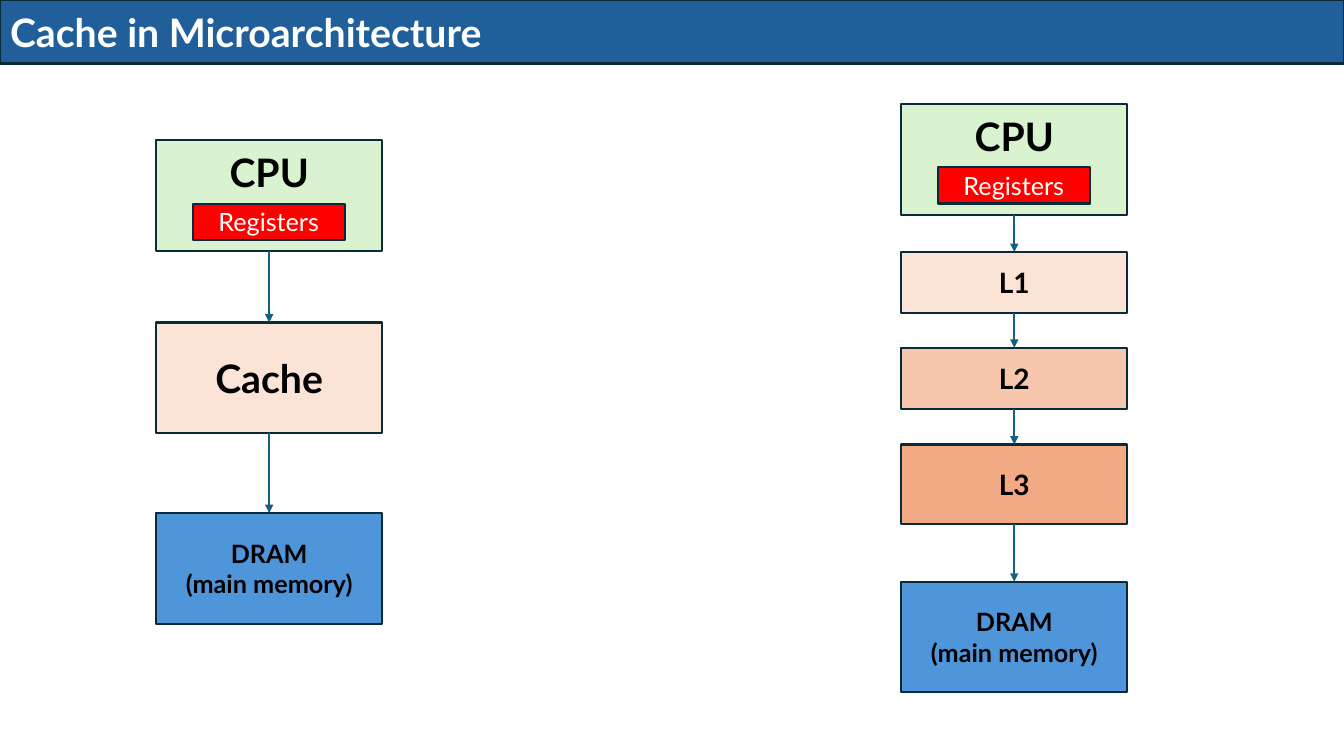
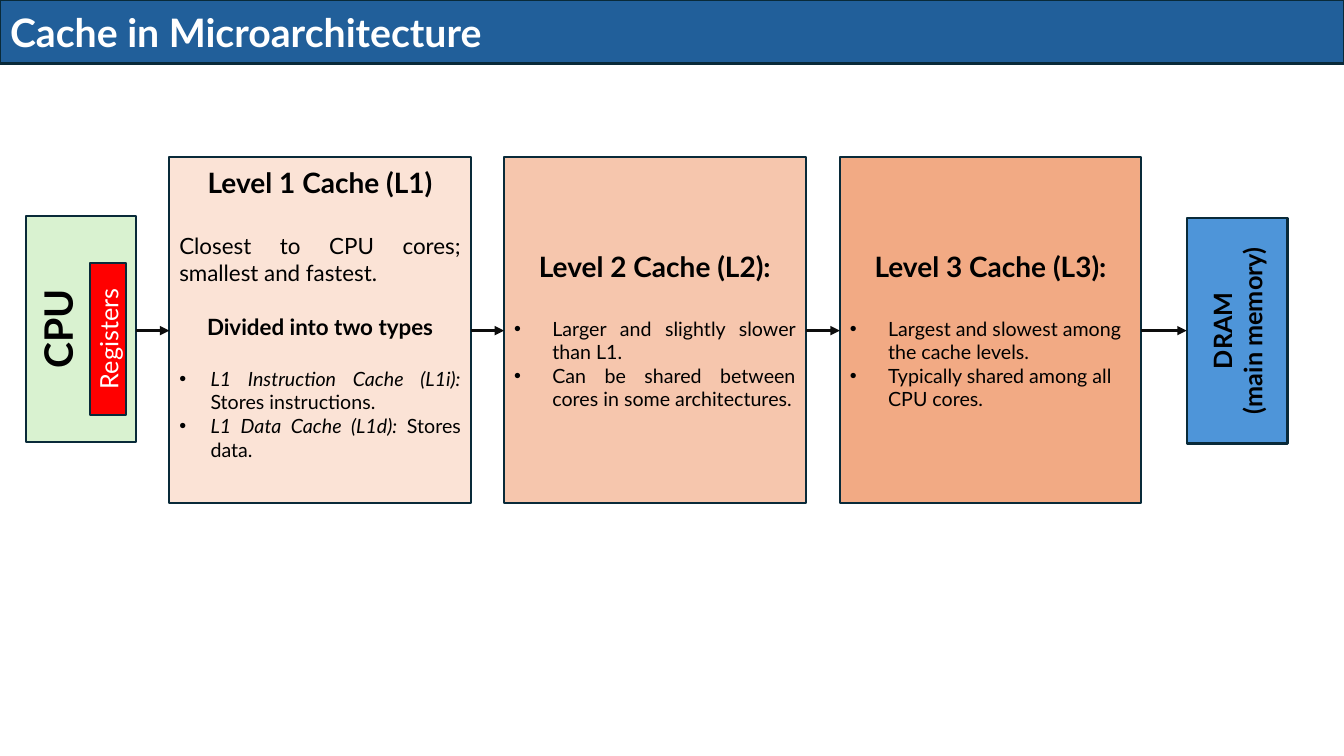
"""Build two slides on where caches sit in a microarchitecture."""
from lxml import etree
from pptx import Presentation
from pptx import util as u
from pptx.dml.color import RGBColor
from pptx.enum import shapes, text
from pptx.oxml.ns import qn

FONT = "Lato"
COLOURS = {
    "band": "215F9A", "outline": "092A39", "cpu": "D9F2D0", "registers": "FF0000",
    "l1": "FBE3D6", "l2": "F6C6AD", "l3": "F2AA84", "dram": "4E95D9",
    "teal": "156082", "ink": "0D0D0D", "black": "000000", "white": "FFFFFF",
}
COLOURS = {name: RGBColor.from_string(value) for name, value in COLOURS.items()}
CENTER, LEFT, JUSTIFY = text.PP_ALIGN.CENTER, text.PP_ALIGN.LEFT, text.PP_ALIGN.JUSTIFY
MIDDLE, TOP = text.MSO_ANCHOR.MIDDLE, text.MSO_ANCHOR.TOP


def add_text(box, words, size=18, bold=False, colour="black", align=CENTER,
             after=0, indent=0, lead=""):
    """Add one paragraph, with an optional italic lead and a bullet if indented."""
    frame = box.text_frame
    para = frame.paragraphs[0]
    if para.runs:
        para = frame.add_paragraph()
    para.alignment = align
    para.space_after = u.Pt(after)
    if indent:
        props = para._p.get_or_add_pPr()
        props.set("marL", str(u.Inches(indent)))
        props.set("indent", str(-u.Inches(indent)))
        etree.SubElement(props, qn("a:buFont"), typeface="Arial")
        etree.SubElement(props, qn("a:buChar"), char="•")
    for part, italic in ((lead, True), (words, False)):
        if part:
            span = para.add_run()
            span.text = part
            span.font.name, span.font.size = FONT, u.Pt(size)
            span.font.bold, span.font.italic = bold, italic
            span.font.color.rgb = COLOURS[colour]


def draw_box(page, place, fill, lines, anchor=MIDDLE, turn=0):
    """Draw an outlined rectangle holding (words, format) lines."""
    box = page.shapes.add_shape(shapes.MSO_SHAPE.RECTANGLE, *map(u.Inches, place))
    box.shadow.inherit = False
    box.rotation = turn
    box.fill.solid()
    box.fill.fore_color.rgb = COLOURS[fill]
    box.line.color.rgb = COLOURS["outline"]
    box.line.width = u.Pt(1.5)
    box.text_frame.word_wrap = True
    box.text_frame.vertical_anchor = anchor
    if anchor == TOP:
        box.text_frame.margin_top = u.Inches(0.08)
    for words, style in lines:
        add_text(box, words, **style)


deck = Presentation()
deck.slide_width, deck.slide_height = u.Inches(13.33), u.Inches(7.5)
pages = [deck.slides.add_slide(deck.slide_layouts[5]) for _ in range(2)]
for page in pages:
    title = page.shapes.title
    title.left, title.top = 0, 0
    title.width, title.height = deck.slide_width, u.Inches(0.63)
    title.fill.solid()
    title.fill.fore_color.rgb = COLOURS["band"]
    title.line.color.rgb = COLOURS["outline"]
    title.line.width = u.Pt(1.5)
    title.text_frame.auto_size = text.MSO_AUTO_SIZE.NONE
    title.text_frame.vertical_anchor = MIDDLE
    add_text(title, "Cache in Microarchitecture", size=28, bold=True,
             colour="white", align=LEFT)
stack_page, detail_page = pages

big, medium, small = ({"size": size, "bold": True} for size in (28, 20, 18))
cpu = [("CPU", big)]
registers = [("Registers", {"colour": "white"})]
dram = [("DRAM", small), ("(main memory)", small)]
arrows = []

stacks = [
    (1.55, [(1.39, 1.1, "cpu", cpu), (3.2, 1.1, "l1", [("Cache", big)]),
            (5.09, 1.1, "dram", dram)]),
    (8.94, [(1.03, 1.1, "cpu", cpu), (2.5, 0.61, "l1", [("L1", medium)]),
            (3.45, 0.61, "l2", [("L2", medium)]), (4.41, 0.79, "l3", [("L3", medium)]),
            (5.77, 1.1, "dram", dram)]),
]
for left, levels in stacks:
    for top, height, fill, lines in levels:
        draw_box(stack_page, (left, top, 2.24, height), fill, lines,
                 anchor=TOP if fill == "cpu" else MIDDLE)
    draw_box(stack_page, (left + 0.36, levels[0][0] + 0.63, 1.51, 0.36),
             "registers", registers)
    middle = left + 1.12
    for upper, lower in zip(levels, levels[1:]):
        arrows.append((stack_page, (middle, upper[0] + upper[1], middle, lower[0]),
                       "teal", 1.5))

narrow = {"size": 14, "align": JUSTIFY, "indent": 0.31}
wide = {"size": 14, "align": JUSTIFY, "indent": 0.38}
ragged = {**wide, "align": LEFT}
heading = {**medium, "after": 24}
level_1 = [
    ("Level 1 Cache (L1)", heading),
    ("Closest to CPU cores; smallest and fastest.",
     {"size": 16, "align": JUSTIFY, "after": 19.2}),
    ("Divided into two types", {"size": 16, "bold": True, "after": 19.2}),
    ("Stores instructions.", {**narrow, "lead": "L1 Instruction Cache (L1i): "}),
    ("Stores data.", {**narrow, "lead": "L1 Data Cache (L1d): "}),
]
level_2 = [
    ("Level 2 Cache (L2):", heading),
    ("Larger and slightly slower than L1.", wide),
    ("Can be shared between cores in some architectures.", wide),
]
level_3 = [
    ("Level 3 Cache (L3):", heading),
    ("Largest and slowest among the cache levels.", ragged),
    ("Typically shared among all CPU cores.", ragged),
]
draw_box(detail_page, (-0.32, 2.72, 2.24, 1.09), "cpu", cpu, anchor=TOP, turn=270)
draw_box(detail_page, (0.32, 3.18, 1.51, 0.36), "registers", registers, turn=270)
for left, fill, lines, anchor in ((1.68, "l1", level_1, TOP), (5, "l2", level_2, MIDDLE),
                                  (8.33, "l3", level_3, MIDDLE)):
    draw_box(detail_page, (left, 1.56, 2.99, 3.43), fill, lines, anchor=anchor)
draw_box(detail_page, (11.15, 2.78, 2.24, 1), "dram", dram, turn=270)
for start, end in ((1.35, 1.68), (4.67, 5), (7.99, 8.33), (11.32, 11.77)):
    arrows.append((detail_page, (start, 3.28, end, 3.28), "ink", 2.25))

for page, ends, colour, width in arrows:
    arrow = page.shapes.add_connector(shapes.MSO_CONNECTOR.STRAIGHT, *map(u.Inches, ends))
    arrow.line.color.rgb = COLOURS[colour]
    arrow.line.width = u.Pt(width)
    etree.SubElement(arrow.line._get_or_add_ln(), qn("a:tailEnd"), type="triangle")
    etree.SubElement(arrow._element.spPr, qn("a:effectLst"))

deck.save("out.pptx")
